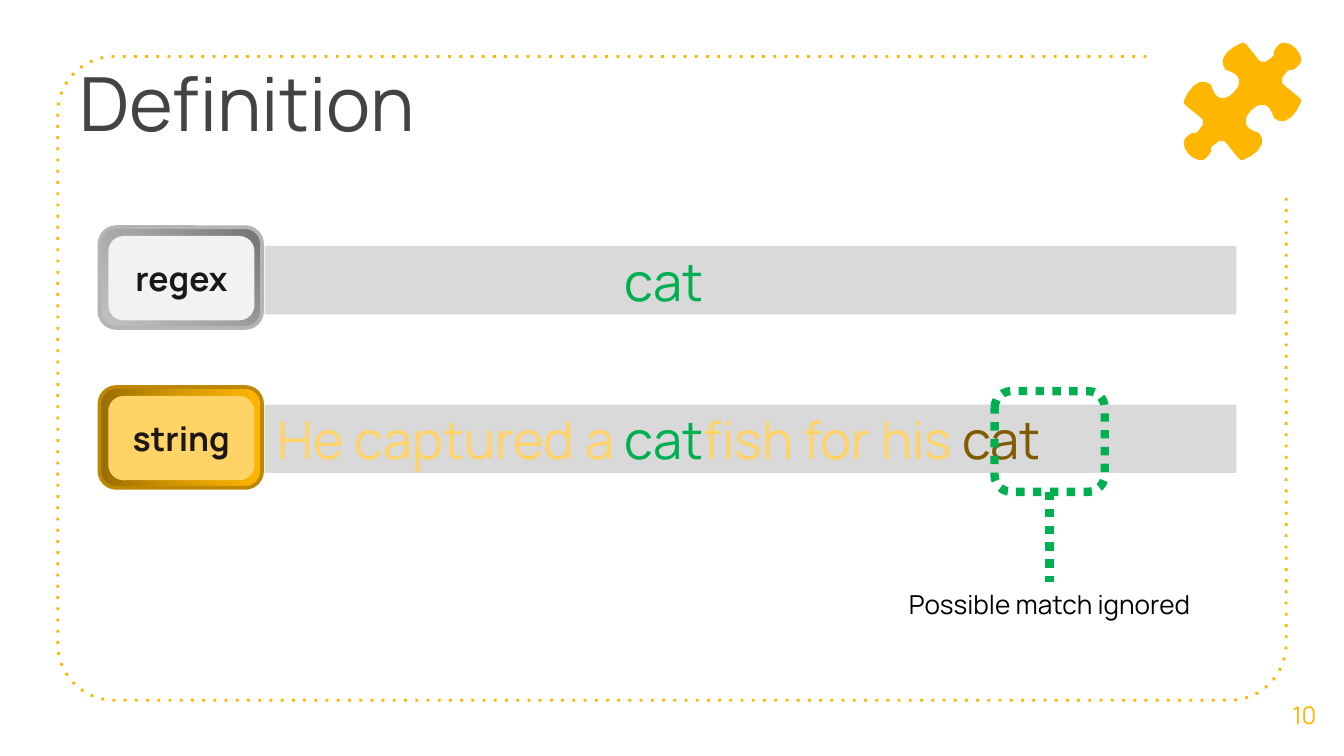
from math import cos, radians, sin

from lxml.etree import SubElement
from pptx import Presentation
from pptx.dml.color import RGBColor
from pptx.enum.dml import MSO_LINE
from pptx.enum.shapes import MSO_CONNECTOR, MSO_SHAPE
from pptx.enum.text import MSO_ANCHOR, PP_ALIGN
from pptx.oxml.ns import qn
from pptx.util import Inches, Pt

WIDTH = Inches(10)
HEIGHT = WIDTH * 9 // 16
CELL = WIDTH / 100
FONT = "Manrope"

AMBER = RGBColor(0xFF, 0xB6, 0x00)
LIGHT_AMBER = RGBColor(0xFF, 0xD3, 0x66)
DARK_AMBER = RGBColor(0xBD, 0x87, 0x00)
BROWN = RGBColor(0x80, 0x5B, 0x00)
GREEN = RGBColor(0x00, 0xB0, 0x50)
BAR_GRAY = RGBColor(0xD9, 0xD9, 0xD9)
PALE_GRAY = RGBColor(0xF2, 0xF2, 0xF2)
RIM_GRAY = RGBColor(0xB4, 0xB4, 0xB4)
TITLE_GRAY = RGBColor(0x43, 0x43, 0x43)
INK = RGBColor(0x1A, 0x17, 0x14)
BLACK = RGBColor(0x00, 0x00, 0x00)

GRAY_STOPS = ("737373", "A3A3A3", "C2C2C2")
AMBER_STOPS = ("976C00", "D79900", "FFB600")

PUZZLE_SIZE = 87
PUZZLE_QUARTER = [
    (37, 37), (40, 33), (41, 30), (41, 27), (40, 25), (38, 23), (34, 21),
    (31, 20), (30, 18), (29, 16), (29, 12), (32, 7), (37, 3), (41, 1),
    (43, 0), (45, 0), (47, 2), (52, 8), (55, 12), (57, 14), (59, 14),
    (61, 14), (65, 11), (67, 9), (67, 6), (69, 3), (71, 1), (73, 0),
    (76, 0), (79, 1), (82, 3), (84, 5),
]


def cells(*values):
    return [round(v * CELL) for v in values]


def set_line(s, color=None, width=1, dash=None):
    if color is None:
        s.line.fill.background()
        return
    s.line.color.rgb = color
    s.line.width = Pt(width)
    if dash:
        s.line.dash_style = MSO_LINE.ROUND_DOT
        s._element.spPr.find(".//" + qn("a:prstDash")).set("val", dash)


def write(s, runs, size=18, bold=False, align=PP_ALIGN.LEFT,
          anchor=MSO_ANCHOR.TOP, left=1, inset=0.5):
    tf = s.text_frame
    tf.word_wrap = True
    tf.vertical_anchor = anchor
    tf.margin_left, tf.margin_right = cells(left, 1)
    tf.margin_top, tf.margin_bottom = cells(inset, inset)
    p = tf.paragraphs[0]
    p.alignment = align
    for text, color in runs:
        r = p.add_run()
        r.text = text
        r.font.name = FONT
        r.font.size = Pt(size)
        r.font.bold = bold
        r.font.color.rgb = color


def add_text(slide, area, runs, **style):
    s = slide.shapes.add_textbox(*cells(*area))
    write(s, runs, **style)
    return s


def add_box(slide, kind, area, fill=None, **line):
    s = slide.shapes.add_shape(kind, *cells(*area))
    s.shadow.inherit = False
    if fill is None:
        s.fill.background()
    else:
        s.fill.solid()
        s.fill.fore_color.rgb = fill
    set_line(s, **line)
    return s


def add_outline(slide, points, close):
    first, *rest = [cells(*point) for point in points]
    builder = slide.shapes.build_freeform(*first)
    builder.add_line_segments(rest, close=close)
    s = builder.convert_to_shape()
    s.shadow.inherit = False
    return s


def add_frame(slide):
    left, right, top, bottom, radius = 4.3, 95.7, 4.2, 52.1, 4.2

    def corner(x, y, start):
        angles = [radians(start - step) for step in range(0, 91, 6)]
        return [(x + radius * cos(a), y + radius * sin(a)) for a in angles]

    points = [(85.3, top)]
    points += corner(left + radius, top + radius, 270)
    points += corner(left + radius, bottom - radius, 180)
    points += corner(right - radius, bottom - radius, 90)
    points.append((right, 14.6))
    s = add_outline(slide, points, close=False)
    s.fill.background()
    set_line(s, AMBER, 1.5, "dot")


def add_puzzle(slide, left, top):
    n = PUZZLE_SIZE
    half = PUZZLE_QUARTER + [(n - y, n - x) for x, y in reversed(PUZZLE_QUARTER)]
    whole = half + [(n - x, n - y) for x, y in half]
    points = [(left + x / 10, top + y / 10) for x, y in whole]
    s = add_outline(slide, points, close=True)
    s.fill.solid()
    s.fill.fore_color.rgb = AMBER
    set_line(s)


def set_gradient(s, stops, circle):
    s.fill.gradient()
    grad = s._element.spPr.find(qn("a:gradFill"))
    grad.clear()
    stop_list = SubElement(grad, qn("a:gsLst"))
    for i, color in enumerate(stops):
        stop = SubElement(stop_list, qn("a:gs"), pos=str(i * 50000))
        SubElement(stop, qn("a:srgbClr"), val=color)
    if circle:
        shade = SubElement(grad, qn("a:path"), path="circle")
        SubElement(shade, qn("a:fillToRect"), l="100000", b="100000")
    else:
        SubElement(grad, qn("a:lin"), ang="0", scaled="0")


def add_key(slide, top, label, face, rim, stops, circle):
    outer = add_box(slide, MSO_SHAPE.ROUNDED_RECTANGLE, (7.4, top, 12.1, 7.5),
                    color=rim, width=2)
    set_gradient(outer, stops, circle)
    inner = add_box(slide, MSO_SHAPE.ROUNDED_RECTANGLE,
                    (8.2, top + 0.8, 10.6, 6), face, color=face, width=2)
    write(inner, [(label, INK)], bold=True, align=PP_ALIGN.CENTER,
          anchor=MSO_ANCHOR.MIDDLE)


def add_bar(slide, top, runs, left=1):
    s = add_box(slide, MSO_SHAPE.RECTANGLE, (19.7, top, 72.3, 5.1), BAR_GRAY)
    write(s, runs, size=28, anchor=MSO_ANCHOR.MIDDLE, left=left)


def add_callout(slide):
    dots = dict(color=GREEN, width=4.5, dash="sysDot")
    mark = add_box(slide, MSO_SHAPE.ROUNDED_RECTANGLE, (74, 29.1, 8.2, 7.5), **dots)
    note = add_text(slide, (66.5, 43.3, 23.2, 5.7),
                    [("Possible match ignored", BLACK)],
                    size=14, align=PP_ALIGN.CENTER)
    s = slide.shapes.add_connector(MSO_CONNECTOR.STRAIGHT, 0, 0, 0, 0)
    s.begin_connect(mark, 2)
    s.end_connect(note, 0)
    set_line(s, **dots)
    SubElement(s._element.spPr, qn("a:effectLst"))


def main():
    prs = Presentation()
    prs.slide_width, prs.slide_height = WIDTH, HEIGHT
    slide = prs.slides.add_slide(prs.slide_layouts[6])
    add_frame(slide)
    add_text(slide, (4.9, 3.2, 75.1, 9.4), [("Definition", TITLE_GRAY)],
             size=40, inset=1)
    add_text(slide, (94.1, 50.2, 5.9, 6), [("10", AMBER)], size=13, inset=1,
             align=PP_ALIGN.CENTER, anchor=MSO_ANCHOR.MIDDLE)
    add_puzzle(slide, 88.1, 3.2)
    add_key(slide, 16.9, "regex", PALE_GRAY, RIM_GRAY, GRAY_STOPS, True)
    add_key(slide, 28.8, "string", LIGHT_AMBER, DARK_AMBER, AMBER_STOPS, False)
    add_bar(slide, 18.3, [("cat", GREEN)], left=26.8)
    add_bar(slide, 30.1, [("He captured a ", LIGHT_AMBER), ("cat", GREEN),
                          ("fish for his ", LIGHT_AMBER), ("cat", BROWN)])
    add_callout(slide)
    prs.save("out.pptx")


if __name__ == "__main__":
    main()
